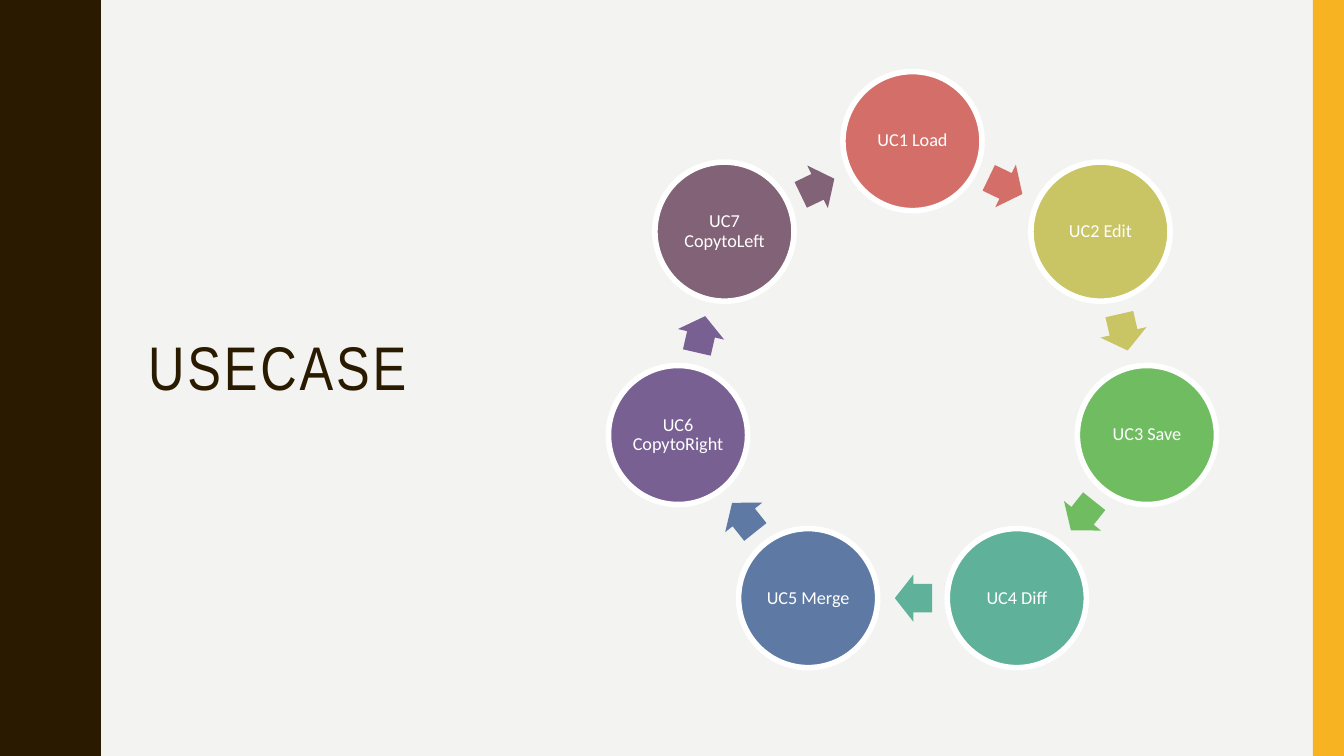
from math import cos, pi, sin, degrees

from pptx import Presentation
from pptx.dml.color import RGBColor
from pptx.enum.shapes import MSO_SHAPE
from pptx.enum.text import MSO_ANCHOR, MSO_AUTO_SIZE, PP_ALIGN
from pptx.util import Inches, Pt

RECTANGLE, OVAL, ARROW = MSO_SHAPE.RECTANGLE, MSO_SHAPE.OVAL, MSO_SHAPE.RIGHT_ARROW
MIDDLE, LEFT, CENTER = MSO_ANCHOR.MIDDLE, PP_ALIGN.LEFT, PP_ALIGN.CENTER

TITLE = "USECASE"
USE_CASES = [
    ("UC1 Load", "D36F68"),
    ("UC2 Edit", "C9C464"),
    ("UC3 Save", "70BD61"),
    ("UC4 Diff", "5FB19A"),
    ("UC5 Merge", "5E79A3"),
    ("UC6 CopytoRight", "796093"),
    ("UC7 CopytoLeft", "826276"),
]
COLORS = {"paper": "F3F3F2", "brown": "2A1A00", "gold": "F8B323", "white": "FFFFFF"}

WIDTH, HEIGHT = 13.33, 7.5
WAVE_PERIOD = 1.5
HALF_WAVE = [
    (0.78, 0), (0.78, 0.07), (0.79, 0.14), (0.8, 0.2), (0.81, 0.25),
    (0.83, 0.29), (0.85, 0.33), (0.87, 0.38), (0.89, 0.42), (0.91, 0.46),
    (0.93, 0.5), (0.95, 0.55), (0.96, 0.61), (0.97, 0.68), (0.97, 0.75),
]
RING_X, RING_Y, RING_RADIUS = 9.05, 3.785, 2.385
CIRCLE = 1.38
ARROW_LENGTH, ARROW_WIDTH, ARROW_SETBACK = 0.37, 0.47, 0.01


def color(value):
    return RGBColor.from_string(value)


def paint(shape, fill):
    shape.shadow.inherit = False
    shape.fill.solid()
    shape.fill.fore_color.rgb = color(fill)
    shape.line.fill.background()


def add_centered(page, kind, x, y, width, height, fill):
    shape = page.shapes.add_shape(
        kind, Inches(x - width / 2), Inches(y - height / 2), Inches(width), Inches(height)
    )
    paint(shape, fill)
    return shape


def add_wave(page):
    wave = HALF_WAVE + [(x, WAVE_PERIOD - y) for x, y in HALF_WAVE[-2::-1]]
    points = [
        (x, y + period * WAVE_PERIOD)
        for period in range(round(HEIGHT / WAVE_PERIOD))
        for x, y in wave
    ]
    builder = page.shapes.build_freeform(0, 0, scale=Inches(1))
    builder.add_line_segments(points + [(0, HEIGHT)], close=True)
    paint(builder.convert_to_shape(), COLORS["brown"])


def add_title(page):
    title = page.shapes.title
    title.left, title.top = Inches(1.37), Inches(0.71)
    title.width, title.height = Inches(3.7), Inches(5.93)
    frame = title.text_frame
    frame.text = TITLE
    frame.auto_size = MSO_AUTO_SIZE.NONE
    frame.word_wrap = True
    frame.vertical_anchor = MIDDLE
    para = frame.paragraphs[0]
    para.alignment = LEFT
    para.line_spacing = 0.9
    para.font.name = "Arial Narrow"
    para.font.size = Pt(44)
    para.font.color.rgb = color(COLORS["brown"])
    para.runs[0]._r.get_or_add_rPr().set("spc", "200")


def add_use_case(page, label, fill, x, y):
    circle = add_centered(page, OVAL, x, y, CIRCLE, CIRCLE, fill)
    circle.line.color.rgb = color(COLORS["white"])
    circle.line.width = Pt(4)
    frame = circle.text_frame
    frame.text = label
    frame.word_wrap = True
    frame.vertical_anchor = MIDDLE
    frame.margin_left = frame.margin_right = Inches(0.02)
    frame.margin_top = frame.margin_bottom = Inches(0.02)
    para = frame.paragraphs[0]
    para.alignment = CENTER
    para.line_spacing = 0.9
    para.font.name = "Calibri"
    para.font.size = Pt(13)
    para.font.color.rgb = color(COLORS["white"])


def add_cycle(page):
    step = 2 * pi / len(USE_CASES)
    for index, (label, fill) in enumerate(USE_CASES):
        angle = index * step
        x = RING_X + RING_RADIUS * sin(angle)
        y = RING_Y - RING_RADIUS * cos(angle)
        add_use_case(page, label, fill, x, y)

        heading = angle + step / 2
        reach = RING_RADIUS * cos(step / 2)
        arrow_x = RING_X + reach * sin(heading) - ARROW_SETBACK * cos(heading)
        arrow_y = RING_Y - reach * cos(heading) - ARROW_SETBACK * sin(heading)
        arrow = add_centered(page, ARROW, arrow_x, arrow_y, ARROW_LENGTH, ARROW_WIDTH, fill)
        arrow.adjustments[0] = 0.6
        arrow.adjustments[1] = 0.5
        arrow.rotation = degrees(heading)


def main():
    deck = Presentation()
    deck.slide_width, deck.slide_height = Inches(WIDTH), Inches(HEIGHT)
    page = deck.slides.add_slide(deck.slide_layouts[5])
    page.background.fill.solid()
    page.background.fill.fore_color.rgb = color(COLORS["paper"])
    add_wave(page)
    add_centered(page, RECTANGLE, WIDTH - 0.155, HEIGHT / 2, 0.31, HEIGHT, COLORS["gold"])
    add_title(page)
    add_cycle(page)
    deck.save("out.pptx")


if __name__ == "__main__":
    main()
